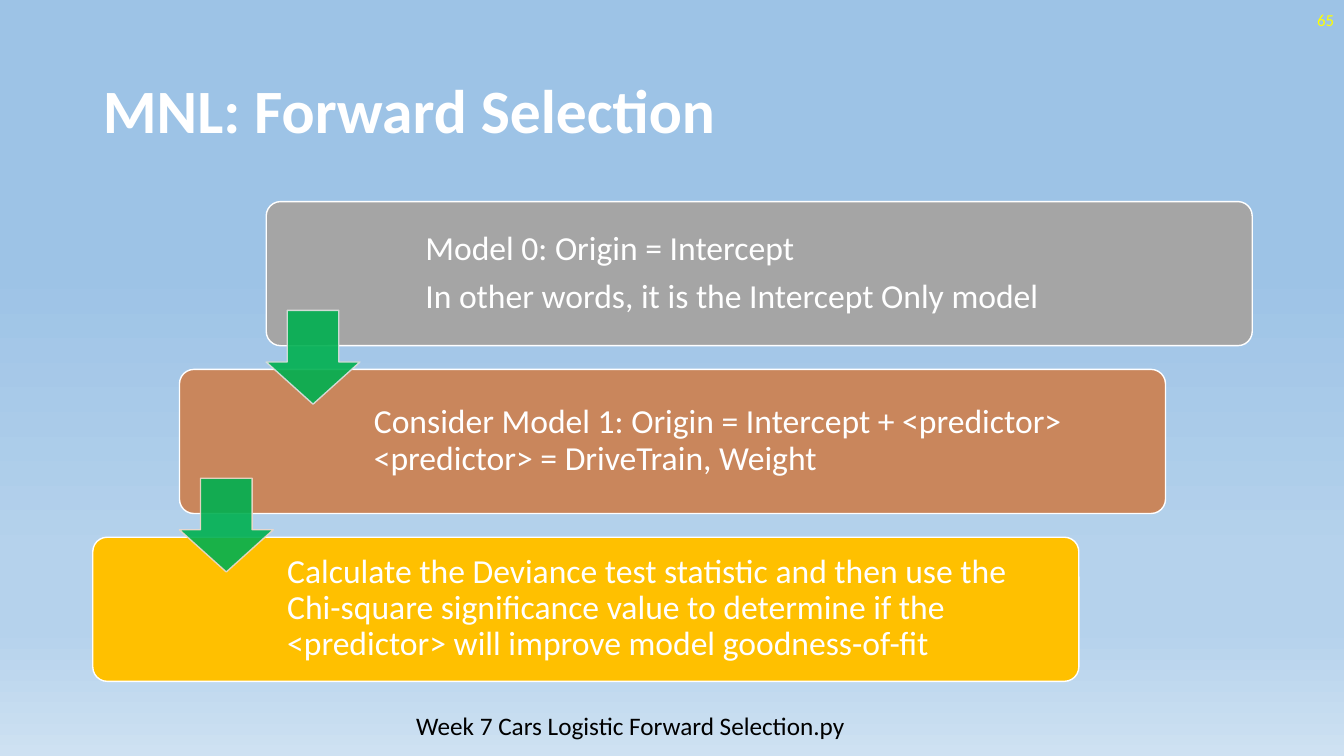
from lxml import etree
from pptx import Presentation
from pptx.dml.color import RGBColor
from pptx.enum.shapes import MSO_SHAPE as Preset
from pptx.enum.text import MSO_ANCHOR as Anchor, PP_ALIGN as Align
from pptx.oxml.ns import qn
from pptx.util import Inches, Pt


def color(hex_code):
    return RGBColor.from_string(hex_code)


def write(frame, text, size, hex_code, anchor=Anchor.MIDDLE, wrap=True, bold=False, **paragraph_format):
    frame.text = text
    frame.word_wrap = wrap
    frame.vertical_anchor = anchor
    for paragraph in frame.paragraphs:
        for key, value in paragraph_format.items():
            setattr(paragraph, key, value)
        for run in paragraph.runs:
            for key, value in {"name": "Calibri", "size": Pt(size), "bold": bold}.items():
                setattr(run.font, key, value)
            run.font.color.rgb = color(hex_code)


deck = Presentation()
deck.slide_width, deck.slide_height = Inches(13.33), Inches(7.5)
slide = deck.slides.add_slide(deck.slide_layouts[5])
shapes = slide.shapes

slide.background.fill.gradient()
gradient = slide.element.find(".//" + qn("a:gradFill"))
stops = gradient.find(qn("a:gsLst"))
for stop in list(stops):
    stops.remove(stop)
for percent, hex_code in [(35, "9DC3E6"), (74, "B5D2EC"), (83, "B5D2EC"), (100, "CEE1F2")]:
    stop = etree.SubElement(stops, qn("a:gs"), pos=str(percent * 1000))
    etree.SubElement(stop, qn("a:srgbClr"), val=hex_code)
gradient.find(qn("a:lin")).set("ang", "5400000")

title = shapes.title
for key, value in {"left": 0.92, "top": 0.4, "width": 11.5, "height": 1.45}.items():
    setattr(title, key, Inches(value))
write(title.text_frame, "MNL: Forward Selection", 44, "FFFFFF", bold=True,
      alignment=Align.LEFT, line_spacing=0.9)

steps = [
    ("Model 0: Origin = Intercept\nIn other words, it is the Intercept Only model", "A5A5A5", 1.48),
    ("Consider Model 1: Origin = Intercept + <predictor>\v<predictor> = DriveTrain, Weight", "C9865C", 1.83),
    ("Calculate the Deviance test statistic and then use the Chi-square significance value "
     "to determine if the <predictor> will improve model goodness-of-fit", "FFC000", 1.83),
]
lefts = [2.64 - 0.86 * index for index in range(len(steps))]
tops = [2 + 1.665 * index for index in range(len(steps))]

for (wording, fill, indent), left, top in zip(steps, lefts, tops):
    card = shapes.add_shape(Preset.ROUNDED_RECTANGLE, Inches(left), Inches(top), Inches(9.78), Inches(1.43))
    card.adjustments[0] = 0.1
    card.shadow.inherit = False
    card.fill.solid()
    card.fill.fore_color.rgb = color(fill)
    card.line.color.rgb = color("FFFFFF")
    card.line.width = Pt(1)
    step_text = shapes.add_textbox(Inches(left + indent), Inches(top + 0.04), Inches(9.73 - indent), Inches(1.34))
    for side in ("left", "right", "top", "bottom"):
        setattr(step_text.text_frame, "margin_" + side, Inches(0.1))
    write(step_text.text_frame, wording, 24, "FFFFFF", line_spacing=0.9, space_after=Pt(8.4))

for left, top, outline in zip(lefts, tops, ["E1E1E1", "F0D9CB"]):
    arrow = shapes.add_shape(Preset.DOWN_ARROW, Inches(left), Inches(top + 1.08), Inches(0.93), Inches(0.93))
    arrow.adjustments[0], arrow.adjustments[1] = 0.55, 0.45
    arrow.shadow.inherit = False
    arrow.fill.solid()
    arrow.fill.fore_color.rgb = color("00B050")
    arrow.line.color.rgb = color(outline)
    arrow.line.width = Pt(1)
    for tint in arrow.element.spPr.iter(qn("a:srgbClr")):
        etree.SubElement(tint, qn("a:alpha"), val="90000")

page_number = shapes.add_textbox(Inches(10.33), Inches(0), Inches(3), Inches(0.4))
write(page_number.text_frame, "65", 12, "FFFF00", alignment=Align.RIGHT)

script_name = shapes.add_textbox(Inches(4.03), Inches(7), Inches(4.5), Inches(0.4))
write(script_name.text_frame, "Week 7 Cars Logistic Forward Selection.py", 18, "000000",
      anchor=Anchor.TOP, wrap=False)

deck.save("out.pptx")
